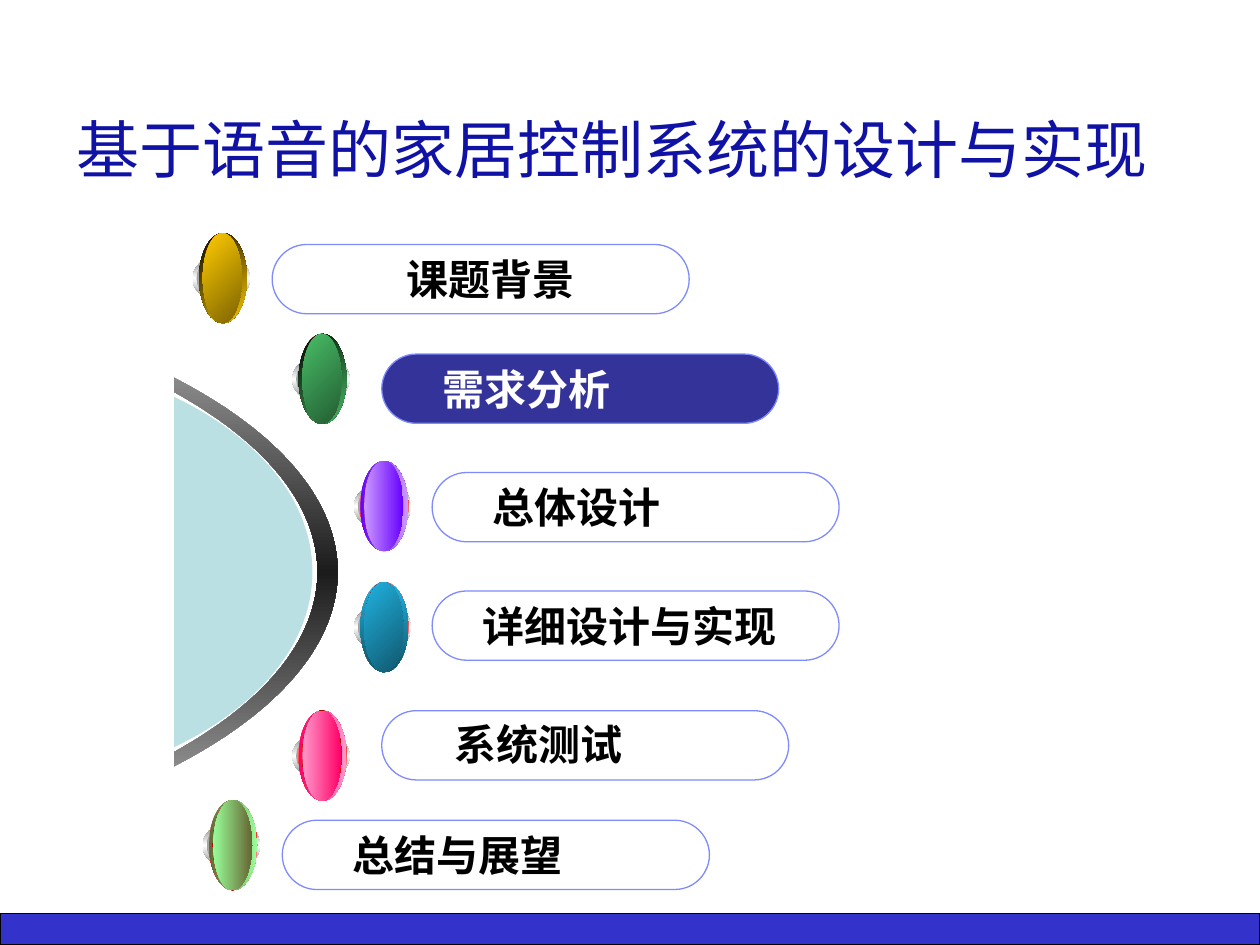
"""Build an agenda slide with six orbs and pills around a half dial."""
import dataclasses
import typing

import pptx
import pptx.dml.color
import pptx.enum.shapes
import pptx.enum.text
import pptx.oxml
import pptx.oxml.ns
import pptx.util

RGB = pptx.dml.color.RGBColor
KIND = pptx.enum.shapes.MSO_SHAPE
ANCHOR = pptx.enum.text.MSO_ANCHOR
ALIGN = pptx.enum.text.PP_ALIGN
Point = tuple[float, float]

FONT = "Noto Sans CJK SC"
WIDE, HIGH = pptx.util.Inches(10), pptx.util.Inches(7.5)
COLS, ROWS = 1000, 750
CELL = WIDE // COLS
MID = 454

BLACK = RGB(0x00, 0x00, 0x00)
WHITE = RGB(0xFF, 0xFF, 0xFF)
RED = RGB(0xFF, 0x00, 0x00)
MAROON = RGB(0x8A, 0x00, 0x00)
STEEL = RGB(0x76, 0x76, 0x76)
SILVER = RGB(0xA2, 0xA2, 0xA2)
ASH = RGB(0xC5, 0xC5, 0xC5)
COAL = RGB(0x1C, 0x1C, 0x1C)
BLUE = RGB(0x33, 0x33, 0xCC)
NAVY = RGB(0x0F, 0x12, 0xA4)
INDIGO = RGB(0x33, 0x33, 0x99)
EDGE = RGB(0x7F, 0x8B, 0xFD)
PALE = RGB(0xBB, 0xE0, 0xE3)
GOLD, BRONZE = RGB(0xFF, 0xCC, 0x00), RGB(0x7C, 0x63, 0x00)
GREEN, PINE = RGB(0x48, 0xBE, 0x67), RGB(0x23, 0x5C, 0x32)
LILAC, VIOLET = RGB(0xCC, 0x99, 0xFF), RGB(0x66, 0x00, 0xFF)
SKY, TEAL, DEEP = RGB(0x21, 0xB3, 0xE1), RGB(0x10, 0x57, 0x6D), RGB(0x0F, 0x53, 0x68)
PINK, ROSE = RGB(0xFF, 0x99, 0xCC), RGB(0xFF, 0x00, 0x66)
LIME, OLIVE = RGB(0x99, 0xFF, 0x99), RGB(0x66, 0x66, 0x33)


@dataclasses.dataclass(frozen=True)
class Box:
    """Place and size in grid cells."""
    x: float
    y: float
    w: float
    h: float


@dataclasses.dataclass(frozen=True)
class Blend:
    """Evenly spaced colours along a clockwise angle."""
    tones: tuple[RGB, ...]
    angle: int


@dataclasses.dataclass(frozen=True)
class Topic:
    """One agenda line with its pill and its orb."""
    text: str
    pill: Box
    start: int
    orb: Point
    rim: Blend
    face: Blend
    fill: RGB | None = None
    ink: RGB = BLACK
    core: bool = True
    label: Box | None = None


Paint = RGB | Blend | None

TOPICS = (
    Topic("课题背景", Box(216, 194, 331, 55), 323, (153, 185), Blend((BLACK, GOLD), 45),
          Blend((GOLD, BRONZE), 45), label=Box(256, 194, 268, 55)),
    Topic("总结与展望", Box(224, 651, 339, 55), 280, (161, 635),
          Blend((OLIVE, LIME), 0), Blend((LIME, OLIVE), 0)),
    Topic("需求分析", Box(303, 281, 315, 55), 351, (232, 265),
          Blend((BLACK, GREEN), 45), Blend((GREEN, PINE), 45), INDIGO, WHITE),
    Topic("详细设计与实现", Box(343, 469, 323, 55), 383, (281, 462),
          Blend((SKY, DEEP), 90), Blend((SKY, TEAL), 45)),
    Topic("系统测试", Box(303, 564, 323, 55), 361, (232, 564), Blend((ROSE, PINK), 0),
          Blend((PINK, ROSE), 0), label=Box(313, 563, 378, 55)),
    Topic("总体设计", Box(343, 375, 323, 55), 391, (281, 366),
          Blend((VIOLET, LILAC), 0), Blend((LILAC, VIOLET), 0), core=False),
)


def apply(item: typing.Any, form: dict[str, typing.Any]) -> None:
    """Set each named value on the item."""
    for name, value in form.items():
        setattr(item, name, value)


def place(box: Box) -> tuple[int, ...]:
    """Turn grid cells into lengths."""
    return tuple(round(n * CELL) for n in (box.x, box.y, box.w, box.h))


def paint(shape: typing.Any, fill: Paint, line: RGB | None = None) -> None:
    """Give a shape its fill and outline."""
    shape.shadow.inherit = False
    if isinstance(fill, RGB):
        shape.fill.solid()
        shape.fill.fore_color.rgb = fill
    else:
        shape.fill.background()
    if isinstance(fill, Blend):
        last = len(fill.tones) - 1
        stops = "".join(
            f'<a:gs pos="{100000 * i // last}"><a:srgbClr val="{tone}"/></a:gs>'
            for i, tone in enumerate(fill.tones))
        node = pptx.oxml.parse_xml(
            f'<a:gradFill {pptx.oxml.ns.nsdecls("a")} rotWithShape="1"><a:gsLst>{stops}</a:gsLst>'
            f'<a:lin ang="{fill.angle * 60000}" scaled="0"/></a:gradFill>')
        props = shape._element.spPr
        props.replace(props.find(pptx.oxml.ns.qn("a:noFill")), node)
    if line is None:
        shape.line.fill.background()
    else:
        shape.line.color.rgb = line
        shape.line.width = pptx.util.Pt(0.75)


def draw(shapes: typing.Any, kind: KIND, box: Box, fill: Paint, line: RGB | None = None) -> typing.Any:
    """Add a painted preset shape."""
    shape = shapes.add_shape(kind, *place(box))
    paint(shape, fill, line)
    return shape


def write(shape: typing.Any, text: str, size: int, ink: RGB, form: dict[str, typing.Any]) -> None:
    """Put one line of text in a shape."""
    frame = shape.text_frame
    apply(frame, {"word_wrap": True, **form})
    para = frame.paragraphs[0]
    para.alignment = ALIGN.LEFT
    run = para.add_run()
    run.text = text
    apply(run.font, {"name": FONT, "size": pptx.util.Pt(size), "bold": size < 30})
    run.font.color.rgb = ink
    east = pptx.oxml.parse_xml(f'<a:ea {pptx.oxml.ns.nsdecls("a")} typeface="{FONT}"/>')
    run.font._element.append(east)


def arc(left: float, bend: float, tip: float, top: float, pull: float) -> list[Point]:
    """List the knots and handles of a bow from its top end to its foot."""
    half = [(left, top), (bend, top), (tip, MID - pull), (tip, MID)]
    return half + [(x, 2 * MID - y) for x, y in half[-2::-1]]


def shell(shapes: typing.Any, bows: list[list[Point]], fill: Paint) -> None:
    """Add a closed outline of curved bows joined by straight ends."""
    spots = [spot for bow in bows for spot in bow]
    form = shapes.build_freeform(*spots[0], scale=float(CELL))
    form.add_line_segments(spots[1:], close=True)
    shape = form.convert_to_shape()
    lines = list(shape._element.iter(pptx.oxml.ns.qn("a:lnTo")))
    for n in range(len(bows)):
        for first in (7 * n, 7 * n + 3):
            trio = lines[first:first + 3]
            cubic = pptx.oxml.parse_xml(f'<a:cubicBezTo {pptx.oxml.ns.nsdecls("a")}/>')
            trio[0].addprevious(cubic)
            for line in trio:
                cubic.append(line[0])
                line.getparent().remove(line)
    paint(shape, fill)


def orb(shapes: typing.Any, topic: Topic) -> None:
    """Stack the layers of one orb in a group."""
    rim, face = Box(5, 0, 38, 71.5), Box(8, 0, 31, 71.5)
    layers = [
        (Box(0, 17.5, 45.5, 37), Blend((STEEL, WHITE, STEEL), 90)),
        (Box(3, 19.5, 40, 33), Blend((SILVER, WHITE, SILVER), 0)),
        (rim, Blend((WHITE, RED, WHITE), 45)),
        (rim, topic.rim),
    ]
    if topic.core:
        layers.append((face, Blend((MAROON, RED, MAROON), 315)))
    layers.append((face, topic.face))
    group = shapes.add_group_shape()
    x, y = topic.orb
    for box, fill in layers:
        draw(group.shapes, KIND.OVAL, Box(x + box.x, y + box.y, box.w, box.h), fill)


def pill(shapes: typing.Any, topic: Topic) -> None:
    """Add the rounded frame and the words of one topic."""
    shape = draw(shapes, KIND.ROUNDED_RECTANGLE, topic.pill, topic.fill, EDGE)
    shape.adjustments[0] = 0.5
    inset = topic.start - topic.pill.x - 8
    if topic.label:
        shape = shapes.add_textbox(*place(topic.label))
        inset = topic.start - topic.label.x
    write(shape, topic.text, 24, topic.ink, {
        "vertical_anchor": ANCHOR.MIDDLE, "margin_left": inset * CELL,
        "margin_right": 0, "margin_top": 0, "margin_bottom": 0})


def main() -> None:
    """Build and save the slide."""
    deck = pptx.Presentation()
    apply(deck, {"slide_width": WIDE, "slide_height": HIGH})
    shapes = deck.slides.add_slide(deck.slide_layouts[6]).shapes
    draw(shapes, KIND.RECTANGLE, Box(0, ROWS - 25, COLS, 25), BLUE, BLACK)
    title = shapes.add_textbox(*place(Box(51, 28, 889, 125)))
    write(title, "基于语音的家居控制系统的设计与实现", 36, NAVY, {"vertical_anchor": ANCHOR.BOTTOM})
    shell(shapes, [arc(-28, 125, 248, 280, 96)], PALE)
    for topic in TOPICS:
        pill(shapes, topic)
        orb(shapes, topic)
    inner, outer = arc(-268, 20, 252, 225, 126), arc(-268, 29, 268, 217, 129)
    shell(shapes, [inner, outer[::-1]], Blend((ASH, COAL, ASH), 90))
    draw(shapes, KIND.RECTANGLE, Box(0, 170, 138, 535), WHITE)
    deck.save("out.pptx")


if __name__ == "__main__":
    main()
